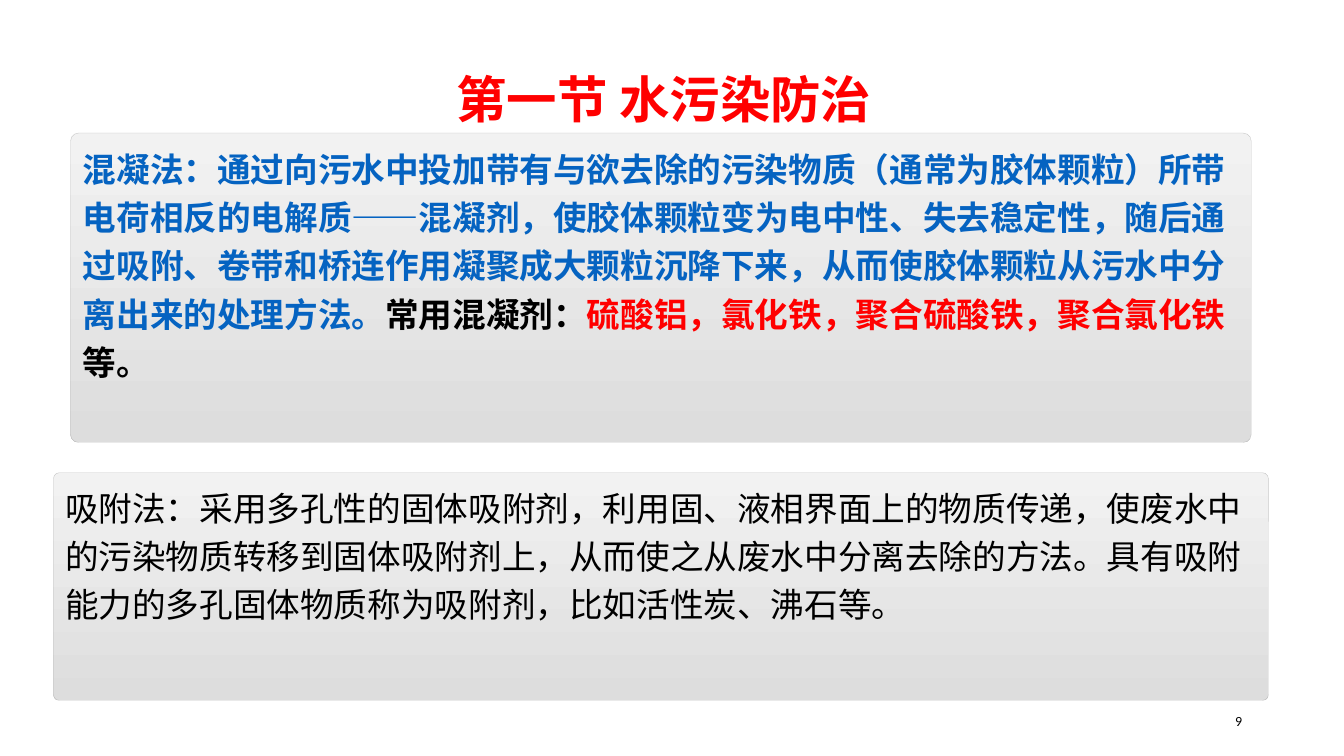
from dataclasses import dataclass

from lxml import etree
from pptx import Presentation
from pptx import util as u
from pptx.dml.color import RGBColor
from pptx.enum import shapes, text
from pptx.oxml.ns import qn


@dataclass(frozen=True)
class Theme:
    latin: str = "Calibri"
    cjk: str = "Noto Sans CJK SC"
    title_size: int = 36
    body_size: int = 24
    number_size: int = 10
    black: str = "000000"
    red: str = "FF0000"
    blue: str = "0563C1"
    panel: tuple = ("F2F2F2", "DDDDDD")
    border: str = "969696"


class SlideBuilder:
    """Places elements on a grid of 100 columns by 100 rows."""

    def __init__(self, prs, theme):
        self.theme = theme
        self.col, self.row = prs.slide_width / 100, prs.slide_height / 100
        self.s = prs.slides.add_slide(prs.slide_layouts[5])

    def place(self, col, row, cols, rows):
        return (int(col * self.col), int(row * self.row),
                int(cols * self.col), int(rows * self.row))

    def set_text(self, sp, runs, size, font, bold=False, spacing=1.0,
                 align=text.PP_ALIGN.LEFT, anchor=text.MSO_ANCHOR.MIDDLE):
        tf = sp.text_frame
        tf.word_wrap, tf.auto_size = True, text.MSO_AUTO_SIZE.NONE
        tf.vertical_anchor = anchor
        p = tf.paragraphs[0]
        p.alignment, p.line_spacing = align, spacing
        p.font.name, p.font.size, p.font.bold = font, u.Pt(size), bold
        latin = p.font._rPr.find(qn("a:latin"))
        east_asian = etree.Element(qn("a:ea"), typeface=self.theme.cjk)
        latin.addnext(east_asian)
        for content, color in runs:
            r = p.add_run()
            r.text = content
            r.font.color.rgb = RGBColor.from_string(color)

    def title(self, content, *area):
        sp = self.s.shapes.title
        sp.left, sp.top, sp.width, sp.height = self.place(*area)
        self.set_text(sp, [(content, self.theme.red)], self.theme.title_size,
                      self.theme.latin, bold=True, spacing=0.9,
                      align=text.PP_ALIGN.CENTER)

    def panel(self, runs, *area, bold=False):
        sp = self.s.shapes.add_shape(shapes.MSO_SHAPE.ROUNDED_RECTANGLE,
                                     *self.place(*area))
        sp.adjustments[0] = 0.026
        sp.shadow.inherit = False
        # Vertical gradient, light at the top
        sp.fill.gradient()
        sp.fill.gradient_angle = 270
        for stop, color in zip(sp.fill.gradient_stops, self.theme.panel):
            stop.color.rgb = RGBColor.from_string(color)
        # Thin, half-transparent border
        sp.line.width = u.Pt(0.25)
        sp.line.color.rgb = RGBColor.from_string(self.theme.border)
        color = sp.line._ln.find(".//" + qn("a:srgbClr"))
        etree.SubElement(color, qn("a:alpha"), val="53000")
        self.set_text(sp, runs, self.theme.body_size, self.theme.cjk,
                      bold=bold, spacing=1.2, anchor=text.MSO_ANCHOR.TOP)

    def number(self, content, *area):
        sp = self.s.shapes.add_textbox(*self.place(*area))
        self.set_text(sp, [(content, self.theme.black)],
                      self.theme.number_size, self.theme.latin,
                      align=text.PP_ALIGN.RIGHT)


def main():
    prs = Presentation()
    prs.slide_width, prs.slide_height = u.Inches(13.33), u.Inches(7.5)
    theme = Theme()
    slide = SlideBuilder(prs, theme)

    # Heading
    slide.title("第一节 水污染防治", 14.85, 5.2, 69.1, 16.67)

    # Coagulation
    slide.panel([
        ("混凝法：通过向污水中投加带有与欲去除的污染物质（通常为胶体颗粒）所带"
         "电荷相反的电解质——混凝剂，使胶体颗粒变为电中性、失去稳定性，随后通"
         "过吸附、卷带和桥连作用凝聚成大颗粒沉降下来，从而使胶体颗粒从污水中分"
         "离出来的处理方法。", theme.blue),
        ("常用混凝剂：", theme.black),
        ("硫酸铝，氯化铁，聚合硫酸铁，聚合氯化铁", theme.red),
        ("等。", theme.black),
    ], 5.25, 17.6, 87.85, 40.93, bold=True)

    # Adsorption
    slide.panel([
        ("吸附法：采用多孔性的固体吸附剂，利用固、液相界面上的物质传递，使废水中"
         "的污染物质转移到固体吸附剂上，从而使之从废水中分离去除的方法。具有吸附"
         "能力的多孔固体物质称为吸附剂，比如活性炭、沸石等。", theme.black),
    ], 3.98, 62.53, 90.4, 30.13)

    # Page number
    slide.number("9", 70.67, 92.67, 22.5, 5.33)

    prs.save("out.pptx")


if __name__ == "__main__":
    main()
